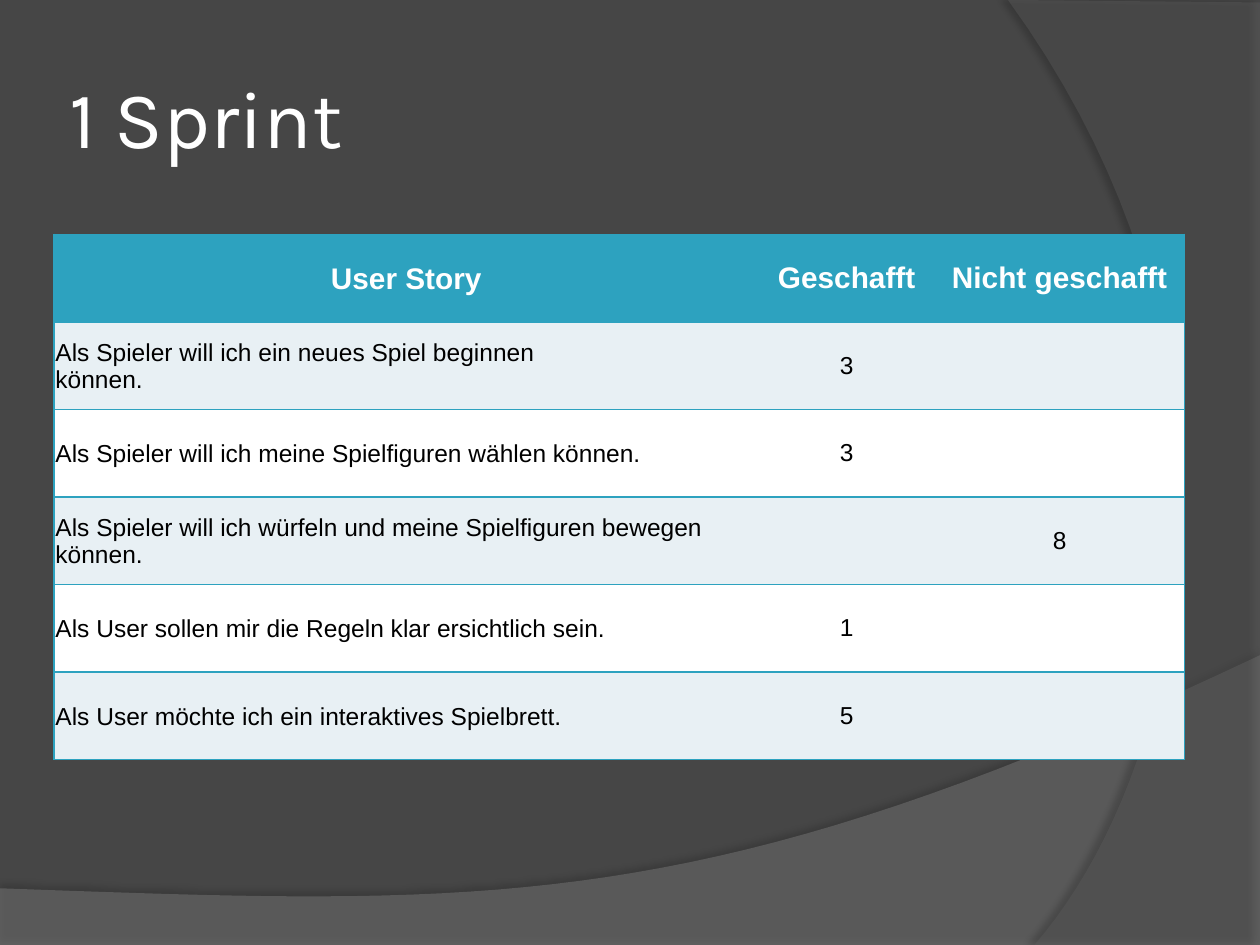
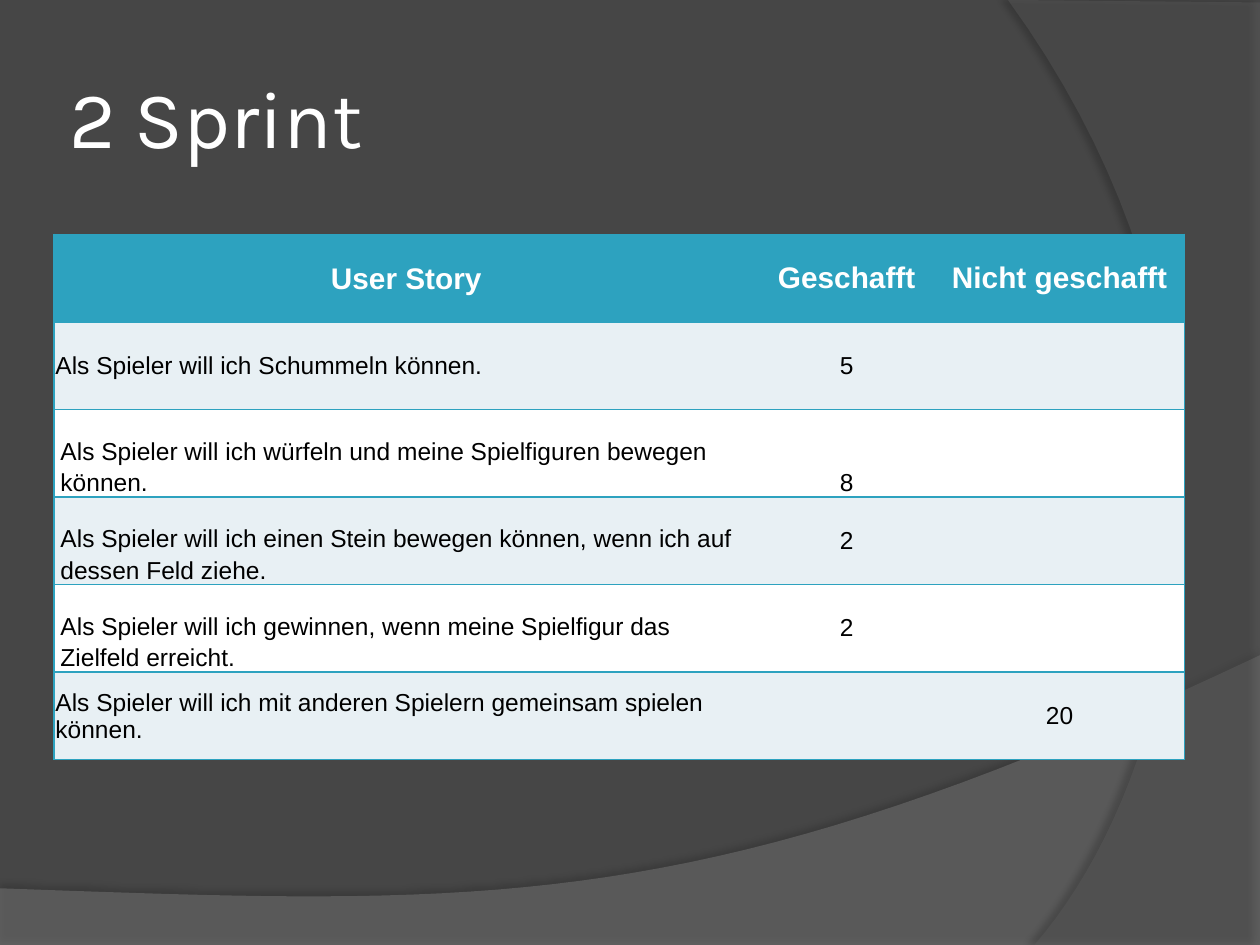
"""Build two sprint review slides, each with a table of user stories."""
from lxml import etree
from pptx import Presentation
from pptx.dml.color import RGBColor
from pptx.enum.text import MSO_ANCHOR, MSO_AUTO_SIZE, PP_ALIGN
from pptx.oxml.ns import qn
from pptx.util import Inches, Pt

MIDDLE, BOTTOM = MSO_ANCHOR.MIDDLE, MSO_ANCHOR.BOTTOM
LEFT, CENTER = PP_ALIGN.LEFT, PP_ALIGN.CENTER
NO_AUTOFIT = MSO_AUTO_SIZE.NONE
BACKGROUND, WHITE, BLACK = "464646", "FFFFFF", "000000"
ACCENT, PALE = "2DA2BF", "E8F0F4"
TITLE_FONT, TABLE_FONT = "Karla", "Arial"
PLAIN_TABLE = "{2D5ABB26-0587-4C30-8999-92F81FD0307C}"
CURVE_STEPS = 40
COLUMN_WIDTHS = (5.59, 1.4, 1.98)
HEADER = ("User Story", "Geschafft", "Nicht geschafft")
SPRINTS = {
    "1 Sprint": [
        ("Als Spieler will ich ein neues Spiel beginnen \vkönnen.", "3", "", 0),
        ("Als Spieler will ich meine Spielfiguren wählen können.", "3", "", 0),
        ("Als Spieler will ich würfeln und meine Spielfiguren bewegen können.", "", "8", 0),
        ("Als User sollen mir die Regeln klar ersichtlich sein.", "1", "", 0),
        ("Als User möchte ich ein interaktives Spielbrett.", "5", "", 0),
    ],
    "2 Sprint": [
        ("Als Spieler will ich Schummeln können.", "5", "", 0),
        ("Als Spieler will ich würfeln und meine Spielfiguren bewegen können.", "8", "", 2),
        ("Als Spieler will ich einen Stein bewegen können, wenn ich auf dessen Feld ziehe.", "2", "", 1),
        ("Als Spieler will ich gewinnen, wenn meine Spielfigur das Zielfeld erreicht.", "2", "", 1),
        ("Als Spieler will ich mit anderen Spielern gemeinsam spielen können.", "", "20", 0),
    ],
}
BANDS = [
    ([(0, 7.05), (0, 7.51), (10, 7.51), (10, 5.2)],
     [(5.59, 7.29), (3.91, 7.19), (0, 7.05)], "7F7F7F", 45, (35, 4, 3.5, 270)),
    ([(10, 0.02), (10, 7.5), (8.21, 7.5)],
     [(9.35, 6.19), (10.18, 3), (8, 0)], "5E5E5E", 40, (45, 4, 4, 180)),
]


def paint(color_owner, color):
    """Give a fill a solid colour, or set the colour of a font."""
    if hasattr(color_owner, "solid"):
        color_owner.solid()
        color_owner.fore_color.rgb = RGBColor.from_string(color)
    else:
        color_owner.color.rgb = RGBColor.from_string(color)


def add_child(parent, tag, **attributes):
    """Append a drawing element with the given attributes."""
    child = etree.SubElement(parent, qn(tag))
    for key, value in attributes.items():
        child.set(key, str(value))
    return child


prs = Presentation()
prs.slide_width, prs.slide_height = Inches(10), Inches(7.5)
layout = prs.slide_layouts[5]
paint(layout.background.fill, BACKGROUND)
slides = [prs.slides.add_slide(layout) for sprint in SPRINTS]

for position, (corners, controls, color, opacity, shadow) in enumerate(BANDS):
    curve = [corners[-1], *controls]
    points = list(corners)
    for step in range(1, CURVE_STEPS + 1):
        t = step / CURVE_STEPS
        weights = ((1 - t) ** 3, 3 * t * (1 - t) ** 2, 3 * t * t * (1 - t), t ** 3)
        points.append([sum(w * p[axis] for w, p in zip(weights, curve)) for axis in (0, 1)])
    outline = [(Inches(x), Inches(y)) for x, y in points]
    builder = slides[0].shapes.build_freeform(*outline[0])
    builder.add_line_segments(outline[1:], close=True)
    band = builder.convert_to_shape()
    paint(band.fill, color)
    band.line.fill.background()
    band.shadow.inherit = False
    add_child(next(band.element.iter(qn("a:srgbClr"))), "a:alpha", val=opacity * 1000)
    shade, blur, distance, angle = shadow
    effects = next(band.element.iter(qn("a:effectLst")))
    outer = add_child(effects, "a:outerShdw", blurRad=Pt(blur), dist=Pt(distance),
                      dir=angle * 60000, algn="ctr", rotWithShape=0)
    add_child(add_child(outer, "a:srgbClr", val=BLACK), "a:alpha", val=shade * 1000)
    layout.shapes.element.insert(2 + position, band.element)

for slide, (heading, stories) in zip(slides, SPRINTS.items()):
    title = slide.shapes.title
    title.left, title.top = Inches(0.5), Inches(0.3)
    title.width, title.height = Inches(8.17), Inches(1.25)
    frame = title.text_frame
    frame.text = heading
    frame.auto_size = NO_AUTOFIT
    frame.vertical_anchor = MIDDLE
    frame.margin_left = frame.margin_right = Inches(0.05)
    frame.margin_top = frame.margin_bottom = Inches(0.05)
    frame.paragraphs[0].alignment = LEFT
    title_font = frame.paragraphs[0].runs[0].font
    title_font.name, title_font.size = TITLE_FONT, Pt(46)
    paint(title_font, WHITE)

    rows = [(*HEADER, 0), *stories]
    story_table = slide.shapes.add_table(len(rows), len(HEADER), Inches(0.43), Inches(1.86),
                                         Inches(sum(COLUMN_WIDTHS)), Inches(4.17))
    next(story_table.element.iter(qn("a:tableStyleId"))).text = PLAIN_TABLE
    table = story_table.table
    for column, width in zip(table.columns, COLUMN_WIDTHS):
        column.width = Inches(width)

    for row_index, (*texts, lowered) in enumerate(rows):
        is_header = row_index == 0
        row_color = ACCENT if is_header else (WHITE, PALE)[row_index % 2]
        for column_index, text in enumerate(texts):
            cell = table.cell(row_index, column_index)
            paint(cell.fill, row_color)
            cell.vertical_anchor = MIDDLE
            paragraph = cell.text_frame.paragraphs[0]
            paragraph.text = text
            paragraph.alignment = CENTER if is_header or column_index else LEFT
            if column_index < lowered:
                cell.vertical_anchor = BOTTOM
                cell.margin_left = cell.margin_right = Inches(0.05)
                cell.margin_top = cell.margin_bottom = 0
                paragraph.line_spacing, paragraph.space_before = 1.15, Pt(10)
            elif column_index == 0:
                cell.margin_left = cell.margin_right = cell.margin_top = Inches(0.01)
                cell.margin_bottom = 0
            for run in paragraph.runs:
                run.font.name, run.font.bold = TABLE_FONT, is_header
                run.font.size = Pt(17 if is_header else 14)
                paint(run.font, WHITE if is_header else BLACK)

    for index, properties in enumerate(story_table.element.iter(qn("a:tcPr"))):
        column_index = index % len(HEADER)
        sides = ["a:lnT", "a:lnB"]
        if column_index == 0:
            sides.insert(0, "a:lnL")
        elif column_index == len(HEADER) - 1:
            sides.insert(0, "a:lnR")
        for order, side in enumerate(sides):
            border = add_child(properties, side, w=Pt(1))
            add_child(add_child(border, "a:solidFill"), "a:srgbClr", val=ACCENT)
            properties.insert(order, border)

prs.save("out.pptx")
